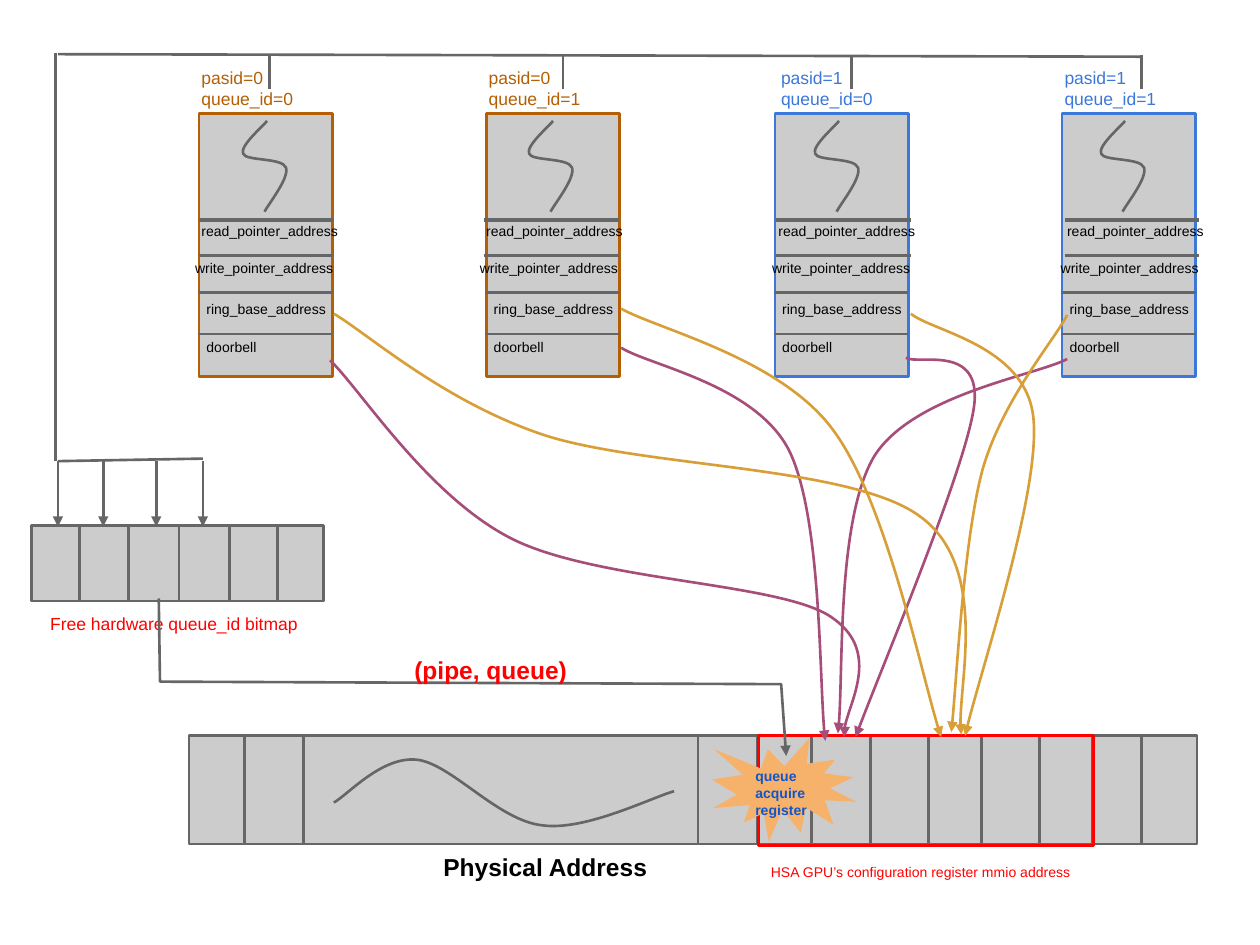
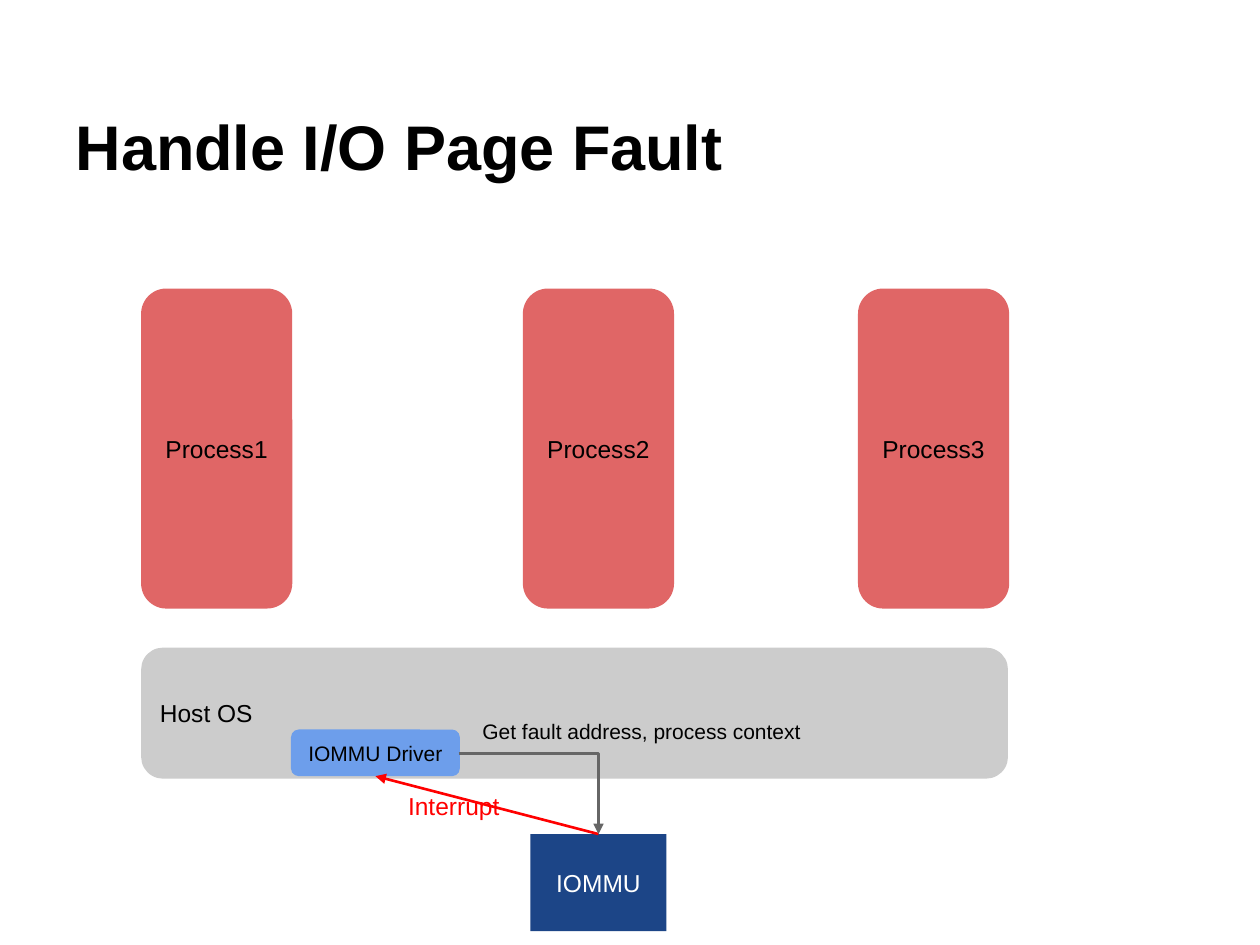
"""Build two slides on hardware queue mapping and I/O page faults."""
import pptx
import pptx.util
import pptx.dml.color
import pptx.enum.shapes
import pptx.enum.text
import pptx.oxml.ns
import lxml.etree

Inches, Pt = pptx.util.Inches, pptx.util.Pt
rgb = pptx.dml.color.RGBColor.from_string
qn = pptx.oxml.ns.qn
MSO = pptx.enum.shapes.MSO_SHAPE
CONN = pptx.enum.shapes.MSO_CONNECTOR
ALIGN = pptx.enum.text.PP_ALIGN
ANCHOR = pptx.enum.text.MSO_ANCHOR

BLACK, WHITE, RED = "000000", "FFFFFF", "FF0000"
GREY, DARK = "CCCCCC", "666666"
ORANGE, BLUE, PURPLE, GOLD = "B45F06", "3C78D8", "A64D79", "D89F39"


def box(sp, at, text="", fill=None, line=None, color=BLACK, size=8, bold=False,
        align=ALIGN.LEFT, anchor=ANCHOR.TOP):
    """Place a shape, then set its fill, outline and text."""
    sp.left, sp.top, sp.width, sp.height = [Inches(v) for v in at]
    if fill:
        sp.fill.solid()
        sp.fill.fore_color.rgb = rgb(fill)
    else:
        sp.fill.background()
    if line:
        sp.line.color.rgb = rgb(line)
        sp.line.width = Pt(1.5)
    else:
        sp.line.fill.background()
    sp.shadow.inherit = False
    tf = sp.text_frame
    frame = {"word_wrap": True, "vertical_anchor": anchor}
    frame.update({"margin_" + side: Inches(0.1) for side in ("left", "right", "top", "bottom")})
    for name, value in frame.items():
        setattr(tf, name, value)
    if text:
        tf.text = text
    for p in tf.paragraphs:
        p.alignment = align
        for name, value in {"name": "Arial", "size": Pt(size), "bold": bold}.items():
            setattr(p.font, name, value)
        p.font.color.rgb = rgb(color)
    return sp


def stroke(s, points, color=DARK, arrow=False, curved=False, kind=CONN.STRAIGHT):
    """Draw a connector through two points, or an open path through more."""
    pts = [(Inches(x), Inches(y)) for x, y in points]
    if len(pts) == 2:
        sp = s.shapes.add_connector(kind, *pts[0], *pts[1])
    else:
        fb = s.shapes.build_freeform(*pts[0])
        fb.add_line_segments(pts[1:], close=False)
        sp = fb.convert_to_shape()
        sp.fill.background()
    sp.line.color.rgb = rgb(color)
    sp.line.width = Pt(1.5)
    spPr = sp._element.spPr
    if curved:
        route = spPr.find(".//" + qn("a:path"))
        steps = route.findall(qn("a:lnTo"))
        for i in range(0, len(steps), 3):
            bez = lxml.etree.SubElement(route, qn("a:cubicBezTo"))
            for step in steps[i:i + 3]:
                bez.append(step[0])
                route.remove(step)
    if arrow:
        lxml.etree.SubElement(spPr.find(qn("a:ln")), qn("a:tailEnd"), type="triangle")
    lxml.etree.SubElement(spPr, qn("a:effectLst"))
    return sp


prs = pptx.Presentation()
prs.slide_width, prs.slide_height = Inches(10), Inches(7.5)

s = prs.slides.add_slide(prs.slide_layouts[6])
add_shape, add_text = s.shapes.add_shape, s.shapes.add_textbox
unplaced = (0, 0, 0, 0)

box(add_shape(MSO.RECTANGLE, *unplaced), (1.5, 5.84, 8, 0.86), fill=GREY, line=DARK)
for x in (1.94, 2.41, 5.54, 6.01, 6.44, 6.91, 7.37, 7.79, 8.25, 8.67, 9.06):
    stroke(s, [(x, 5.84), (x, 6.71)])
stroke(s, [(2.65, 6.37), (2.76, 6.31), (3.03, 6), (3.31, 6.03), (3.58, 6.06), (3.95, 6.51),
           (4.3, 6.55), (4.64, 6.6), (5.17, 6.33), (5.35, 6.28)], curved=True)
box(add_shape(MSO.RECTANGLE, *unplaced), (6.02, 5.84, 2.66, 0.87), line=RED)
box(add_text(*unplaced), (6.02, 6.79, 2.66, 0.3),
    "HSA GPU’s configuration register mmio address", color=RED)

box(add_shape(MSO.RECTANGLE, *unplaced), (0.25, 4.17, 2.32, 0.6), fill=GREY, line=DARK)
for x in (0.63, 1.02, 1.42, 1.82, 2.2):
    stroke(s, [(x, 4.17), (x, 4.77)])
box(add_text(*unplaced), (0.3, 4.78, 2.18, 0.53), "Free hardware queue_id bitmap",
    color=RED, size=10)

queues = [
    (0, 0, ORANGE, 1.58, 1.5, 1.5, 2.14),
    (0, 1, ORANGE, 3.86, 3.78, 3.76, 4.47),
    (1, 0, BLUE, 6.15, 6.1, 6.08, 6.76),
    (1, 1, BLUE, 8.43, 8.35, 8.37, 9.06),
]
squiggle = [(0, 0.96), (-0.03, 1), (-0.22, 1.16), (-0.19, 1.22), (-0.17, 1.28), (0.12, 1.25),
            (0.15, 1.33), (0.18, 1.41), (0.01, 1.62), (-0.02, 1.68)]
for i, (pasid, queue, color, left, head, pointer, drop) in enumerate(queues):
    box(add_shape(MSO.RECTANGLE, *unplaced), (left, 0.9, 1.06, 2.09), fill=GREY, line=color)
    box(add_text(*unplaced), (head, 0.43, 1.31, 0.58),
        f"pasid={pasid}\nqueue_id={queue}", color=color, size=10)
    stroke(s, [(2.12 + 2.27 * i + dx, y) for dx, y in squiggle], curved=True)
    for x, y in ((pointer + 0.08, 1.74), (pointer + 0.08, 1.75), (pointer + 0.08, 2.03),
                 (left - 0.01, 2.32), (left - 0.01, 2.65)):
        stroke(s, [(x, y), (x + 1.07, y)])
    for x, y, width, field in ((pointer, 1.7, 1.31, "read_pointer_address"),
                               (pointer - 0.05, 1.99, 1.36, "write_pointer_address"),
                               (left - 0.04, 2.32, 1.27, "ring_base_address"),
                               (left - 0.04, 2.62, 1.08, "doorbell")):
        box(add_text(*unplaced), (x, y, width, 0.37), field)
    stroke(s, [(drop, 0.71), (drop, 0.44)])

stroke(s, [(0.46, 0.43), (9.06, 0.45)])
stroke(s, [(0.44, 3.66), (0.44, 0.42)])
stroke(s, [(0.46, 3.66), (1.61, 3.64)])
for x in (0.46, 0.82, 1.24, 1.61):
    stroke(s, [(x, 3.66), (x, 4.18)], arrow=True)

doorbell_routes = [
    [(2.62, 2.86), (2.86, 3.09), (3.39, 3.93), (4.05, 4.27), (4.71, 4.61), (6.13, 4.62),
     (6.57, 4.88), (7.01, 5.15), (6.67, 5.69), (6.7, 5.85)],
    [(4.93, 2.76), (5.15, 2.9), (5.99, 3.05), (6.26, 3.57), (6.52, 4.09), (6.5, 5.5),
     (6.55, 5.88)],
    [(7.19, 2.84), (7.28, 2.9), (7.8, 2.72), (7.73, 3.23), (7.66, 3.73), (6.95, 5.41),
     (6.79, 5.85)],
    [(8.47, 2.85), (8.22, 2.98), (7.25, 3.13), (6.94, 3.62), (6.64, 4.12), (6.7, 5.45),
     (6.65, 5.82)],
]
ring_routes = [
    [(2.65, 2.49), (2.92, 2.65), (3.5, 3.17), (4.28, 3.44), (5.05, 3.71), (6.73, 3.69),
     (7.29, 4.09), (7.85, 4.48), (7.58, 5.54), (7.63, 5.83)],
    [(4.93, 2.45), (5.21, 2.61), (6.19, 2.84), (6.61, 3.41), (7.03, 3.97), (7.33, 5.44),
     (7.47, 5.85)],
    [(7.23, 2.49), (7.4, 2.63), (8.13, 2.74), (8.2, 3.3), (8.27, 3.86), (7.75, 5.42),
     (7.66, 5.84)],
    [(8.47, 2.5), (8.36, 2.71), (7.96, 3.17), (7.8, 3.72), (7.65, 4.27), (7.59, 5.46),
     (7.55, 5.81)],
]
for route in doorbell_routes:
    stroke(s, route, PURPLE, arrow=True, curved=True)
seal = box(add_shape(MSO.EXPLOSION1, *unplaced), (5.65, 5.86, 1.15, 0.82),
           "queue acquire register", fill="F6B26B", color="1155CC", bold=True,
           anchor=ANCHOR.MIDDLE)
seal.text_frame.margin_top = Inches(0.2)
for route in ring_routes:
    stroke(s, route, GOLD, arrow=True, curved=True)

box(add_text(*unplaced), (3.42, 6.66, 2.48, 0.37), "Physical Address", size=14, bold=True)
stroke(s, [(1.26, 4.75), (1.27, 5.41), (6.2, 5.43), (6.24, 6)], arrow=True)
box(add_text(*unplaced), (3.19, 5.1, 1.6, 0.27), "(pipe, queue)", color=RED, size=14, bold=True)

s = prs.slides.add_slide(prs.slide_layouts[5])
add_shape, add_text = s.shapes.add_shape, s.shapes.add_textbox
box(s.shapes.title, (0.5, 0.3, 9, 1.25), "Handle I/O Page Fault", size=36, bold=True,
    anchor=ANCHOR.BOTTOM)
box(add_shape(MSO.ROUNDED_RECTANGLE, *unplaced), (1.12, 5.14, 6.88, 1.04), "Host OS",
    fill=GREY, size=14, anchor=ANCHOR.MIDDLE)

centred = {"align": ALIGN.CENTER, "anchor": ANCHOR.MIDDLE}
box(add_shape(MSO.ROUNDED_RECTANGLE, *unplaced), (2.31, 5.79, 1.34, 0.37), "IOMMU Driver",
    fill="6D9EEB", size=12, **centred)
box(add_shape(MSO.RECTANGLE, *unplaced), (4.21, 6.62, 1.08, 0.77), "IOMMU",
    fill="1C4587", color=WHITE, size=14, **centred)
stroke(s, [(4.75, 6.62), (2.98, 6.16)], RED, arrow=True)
box(add_text(*unplaced), (3.14, 6.24, 1.23, 0.14), "Interrupt", color=RED, size=14)
for i, x in enumerate((1.12, 4.15, 6.81), 1):
    box(add_shape(MSO.ROUNDED_RECTANGLE, *unplaced), (x, 2.29, 1.2, 2.54), f"Process{i}",
        fill="E06666", size=14, **centred)
bend = stroke(s, [(3.64, 5.98), (4.75, 6.62)], arrow=True, kind=CONN.ELBOW)
bend._element.spPr.find(qn("a:prstGeom")).set("prst", "bentConnector2")
box(add_text(*unplaced), (3.73, 5.6, 2.81, 0.37), "Get fault address, process context", size=12)

prs.save("out.pptx")
